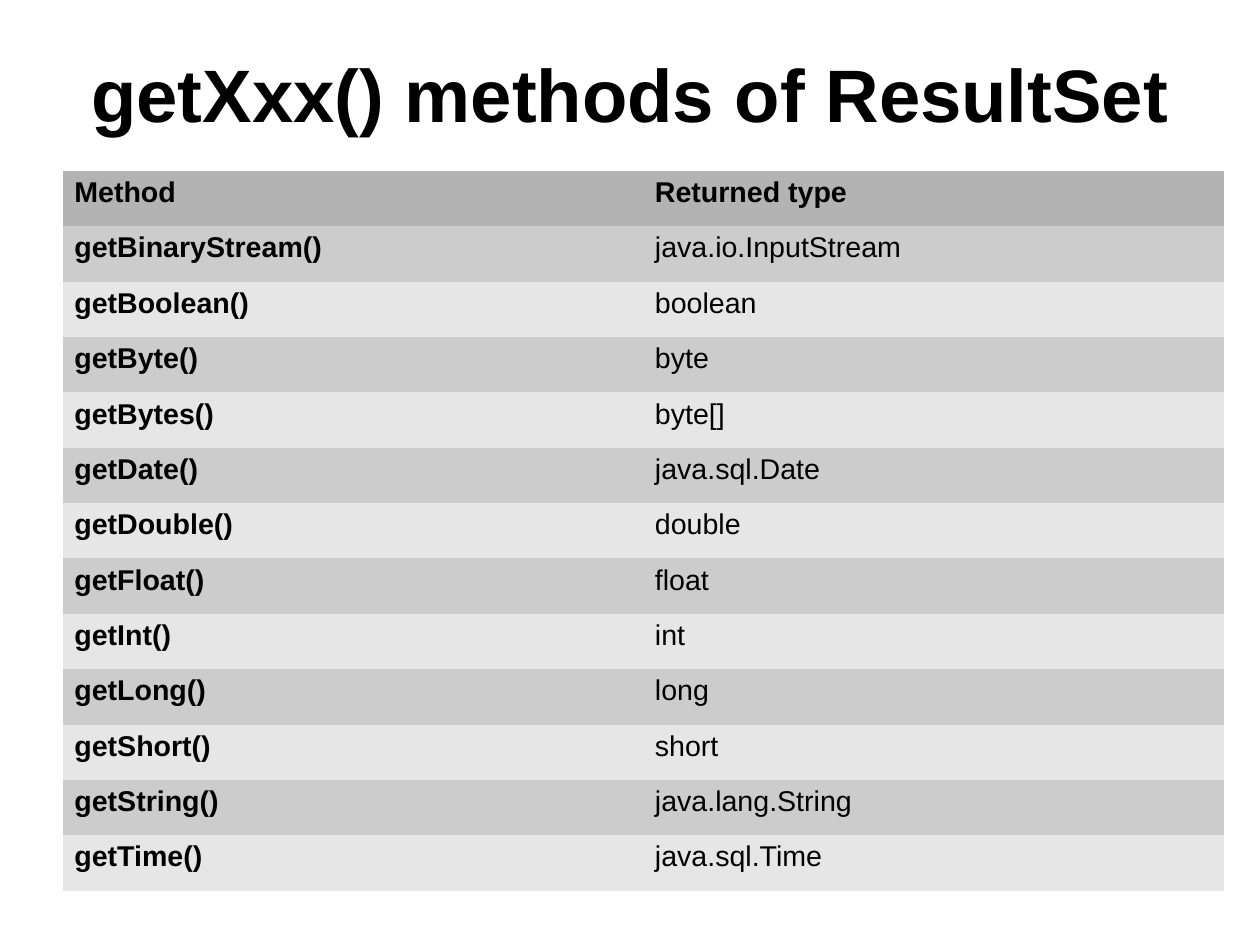
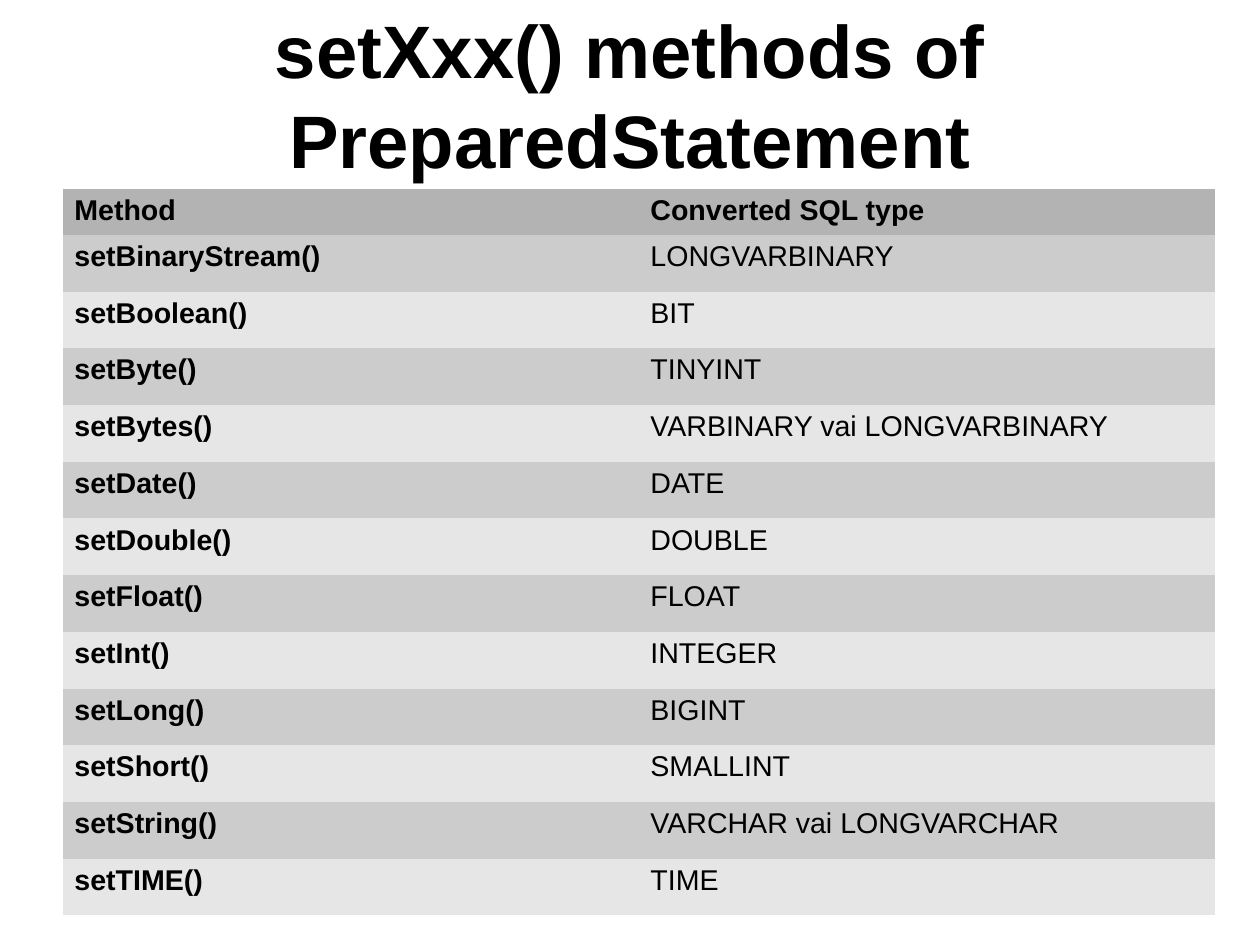
from pptx import Presentation
from pptx.dml.color import RGBColor
from pptx.enum.text import MSO_ANCHOR, PP_ALIGN
from pptx.util import Cm, Pt

MIDDLE = MSO_ANCHOR.MIDDLE
CENTER = PP_ALIGN.CENTER

FONT = "Arial"
BLACK = RGBColor(0x00, 0x00, 0x00)
HEADER_GREY = RGBColor(0xB3, 0xB3, 0xB3)
DARK_BAND = RGBColor(0xCC, 0xCC, 0xCC)
LIGHT_BAND = RGBColor(0xE6, 0xE6, 0xE6)

TITLE_SIZE = Pt(46.8)
CELL_SIZE = Pt(18)
LEFT = Cm(1.4)
TITLE_WIDTH = Cm(25.2)

SLIDES = [
    {
        "title": "getXxx() methods of ResultSet",
        "title_top": Cm(0.84),
        "title_height": Cm(2.46),
        "table_top": Cm(3.8),
        "column_width": Cm(12.9),
        "header_height": Cm(1.23),
        "row_height": Cm(1.23),
        "rows": [
            ("Method", "Returned type"),
            ("getBinaryStream()", "java.io.InputStream"),
            ("getBoolean()", "boolean"),
            ("getByte()", "byte"),
            ("getBytes()", "byte[]"),
            ("getDate()", "java.sql.Date"),
            ("getDouble()", "double"),
            ("getFloat()", "float"),
            ("getInt()", "int"),
            ("getLong()", "long"),
            ("getShort()", "short"),
            ("getString()", "java.lang.String"),
            ("getTime()", "java.sql.Time"),
        ],
    },
    {
        "title": "setXxx() methods of PreparedStatement",
        "title_top": Cm(0.23),
        "title_height": Cm(3.71),
        "table_top": Cm(4.2),
        "column_width": Cm(12.8),
        "header_height": Cm(1.02),
        "row_height": Cm(1.26),
        "rows": [
            ("Method", "Converted SQL type"),
            ("setBinaryStream()", "LONGVARBINARY"),
            ("setBoolean()", "BIT"),
            ("setByte()", "TINYINT"),
            ("setBytes()", "VARBINARY vai LONGVARBINARY"),
            ("setDate()", "DATE"),
            ("setDouble()", "DOUBLE"),
            ("setFloat()", "FLOAT"),
            ("setInt()", "INTEGER"),
            ("setLong()", "BIGINT"),
            ("setShort()", "SMALLINT"),
            ("setString()", "VARCHAR vai LONGVARCHAR"),
            ("setTIME()", "TIME"),
        ],
    },
]


def add_run(paragraph, text, size, bold):
    run = paragraph.add_run()
    run.text = text
    run.font.name = FONT
    run.font.size = size
    run.font.bold = bold
    run.font.color.rgb = BLACK


def add_title(slide, content):
    title = slide.shapes.add_textbox(
        LEFT, content["title_top"], TITLE_WIDTH, content["title_height"]
    )
    frame = title.text_frame
    frame.word_wrap = True
    frame.vertical_anchor = MIDDLE
    frame.margin_left = frame.margin_right = 0
    frame.margin_top = frame.margin_bottom = 0
    paragraph = frame.paragraphs[0]
    paragraph.alignment = CENTER
    add_run(paragraph, content["title"], TITLE_SIZE, True)


def band_color(row_index):
    if row_index == 0:
        return HEADER_GREY
    return DARK_BAND if row_index % 2 else LIGHT_BAND


def add_method_table(slide, content):
    rows = content["rows"]
    column_count = len(rows[0])
    heights = [content["header_height"]] + [content["row_height"]] * (len(rows) - 1)
    table = slide.shapes.add_table(
        len(rows), column_count, LEFT, content["table_top"],
        content["column_width"] * column_count, sum(heights),
    ).table
    table.first_row = table.horz_banding = False
    for column in table.columns:
        column.width = content["column_width"]
    for row_index, (texts, height) in enumerate(zip(rows, heights)):
        table.rows[row_index].height = height
        for column_index, text in enumerate(texts):
            cell = table.cell(row_index, column_index)
            cell.fill.solid()
            cell.fill.fore_color.rgb = band_color(row_index)
            bold = row_index == 0 or column_index == 0
            add_run(cell.text_frame.paragraphs[0], text, CELL_SIZE, bold)
    style_id = table._tbl.tblPr.find(
        "{http://schemas.openxmlformats.org/drawingml/2006/main}tableStyleId"
    )
    style_id.text = "{2D5ABB26-0587-4C30-8999-92F81FD0307C}"


def main():
    deck = Presentation()
    deck.slide_width = Cm(28)
    deck.slide_height = Cm(21)
    blank = deck.slide_layouts[6]
    for content in SLIDES:
        slide = deck.slides.add_slide(blank)
        add_title(slide, content)
        add_method_table(slide, content)
    deck.save("out.pptx")


if __name__ == "__main__":
    main()
